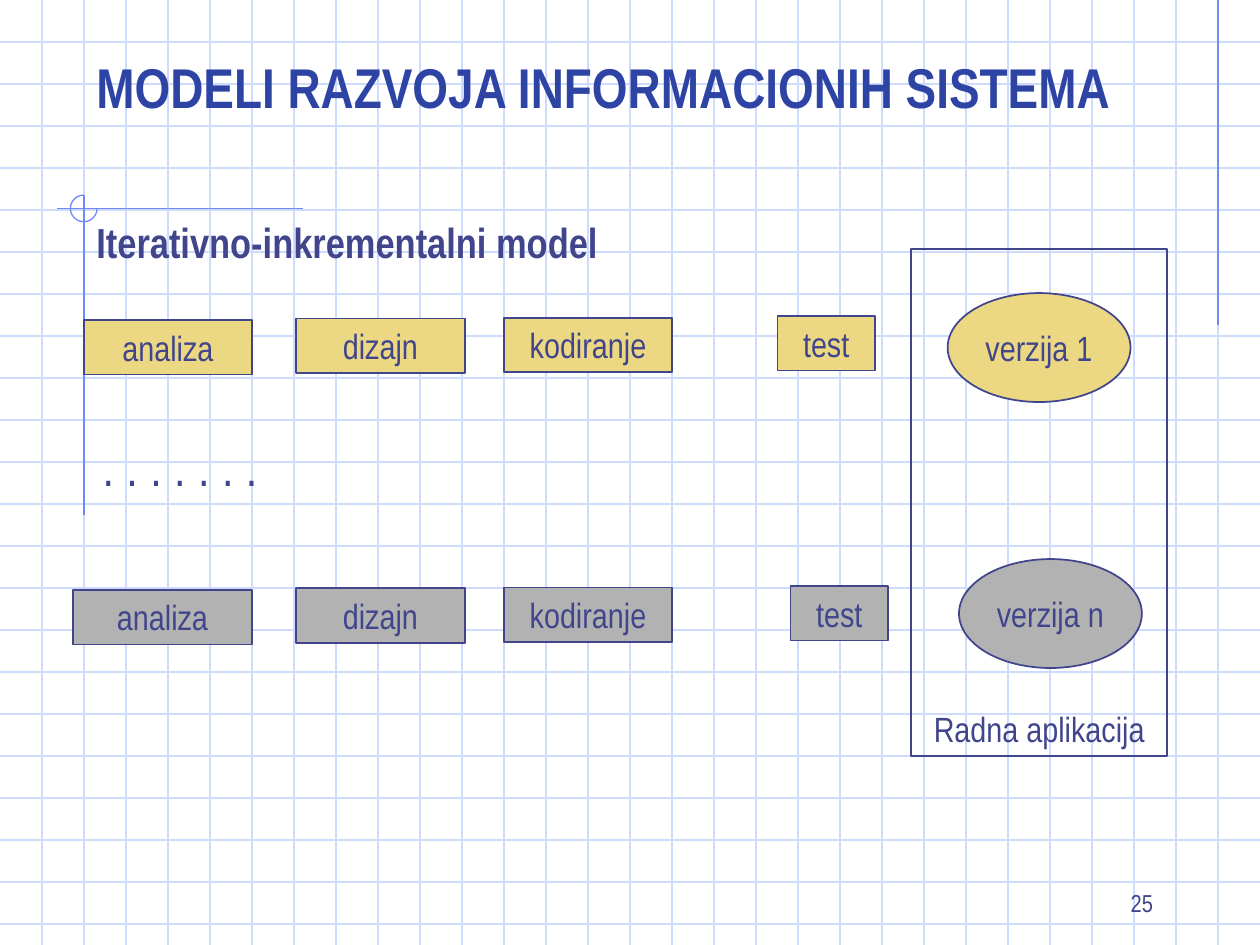
import pptx
import pptx.util
import pptx.dml.color
import pptx.enum.shapes
import pptx.enum.text
import pptx.oxml

Pt = pptx.util.Pt
SHAPE = pptx.enum.shapes.MSO_SHAPE
ALIGN = pptx.enum.text.PP_ALIGN
ANCHOR = pptx.enum.text.MSO_ANCHOR

COLORS = {
    "grid": "CFDBFD",
    "accent": "6F89F7",
    "title": "2D44A4",
    "ink": "40458C",
    "first": "ECD882",
    "last": "B2B2B2",
}
FONT = "Arial Narrow"
WIDTH, HEIGHT, GRID = 720, 540, 24


def rgb(name):
    return pptx.dml.color.RGBColor.from_string(COLORS[name])


def add_line(s, x1, y1, x2, y2, color):
    kind = pptx.enum.shapes.MSO_CONNECTOR.STRAIGHT
    cx = s.shapes.add_connector(kind, Pt(x1), Pt(y1), Pt(x2), Pt(y2))
    cx.line.color.rgb = rgb(color)
    cx.line.width = Pt(0.75)
    sp_pr = cx._element.spPr
    sp_pr.append(sp_pr.makeelement(pptx.oxml.ns.qn("a:effectLst"), {}))


def add_shape(s, kind, x, y, w, h, fill=None, line="ink", weight=1):
    sp = s.shapes.add_shape(kind, Pt(x), Pt(y), Pt(w), Pt(h))
    sp.shadow.inherit = False
    if fill:
        sp.fill.solid()
        sp.fill.fore_color.rgb = rgb(fill)
    else:
        sp.fill.background()
    sp.line.color.rgb = rgb(line)
    sp.line.width = Pt(weight)
    return sp


def set_text(sp, text, size=20, bold=False, color="ink", align=ALIGN.CENTER,
             anchor=ANCHOR.TOP, wrap=True, spacing=0):
    tf = sp.text_frame
    tf.word_wrap = wrap
    tf.vertical_anchor = anchor
    p = tf.paragraphs[0]
    p.alignment = align
    r = p.add_run()
    r.text = text
    r.font.name = FONT
    r.font.size = Pt(size)
    r.font.bold = bold
    r.font.color.rgb = rgb(color)
    if spacing:
        r.font._element.set("spc", str(round(spacing * 100)))


def add_text(s, text, x, y, w, h, **fmt):
    set_text(s.shapes.add_textbox(Pt(x), Pt(y), Pt(w), Pt(h)), text, **fmt)


def add_background(s):
    # Squared paper
    for y in range(GRID, HEIGHT, GRID):
        add_line(s, 0, y, WIDTH, y, "grid")
    for x in range(GRID, WIDTH, GRID):
        add_line(s, x, 0, x, HEIGHT, "grid")
    # Accent lines and the three-quarter circle at their crossing
    add_line(s, 696, 0, 696, 186, "accent")
    add_line(s, 173, 119.25, 32.5, 119.25, "accent")
    add_line(s, 48, 111.5, 48, 294.5, "accent")
    arc = add_shape(s, SHAPE.ARC, 40.25, 111.5, 15.25, 15.25,
                    line="accent", weight=0.75)
    arc.adjustments[0] = 0
    arc.adjustments[1] = 270 * 60000 / 100000  # 60000ths of a degree


def add_iteration(s, y, fill, analysis, test_x, version, version_at):
    x, w = analysis
    phases = [
        ("analiza", x, 2.25, w),
        ("dizajn", 169, 1.4, 96.75),
        ("kodiranje", 288, 1, 96),
        ("test", test_x, 0, 55.75),
    ]
    for name, left, drop, width in phases:
        sp = add_shape(s, SHAPE.RECTANGLE, left, y + drop, width, 31.25, fill)
        set_text(sp, name)
    sp = add_shape(s, SHAPE.OVAL, *version_at, 104.5, 62.25, fill)
    set_text(sp, version, anchor=ANCHOR.MIDDLE, wrap=False)


def main():
    prs = pptx.Presentation()
    prs.slide_width, prs.slide_height = Pt(WIDTH), Pt(HEIGHT)
    s = prs.slides.add_slide(prs.slide_layouts[6])
    add_background(s)

    # Headings and slide number
    add_text(s, "MODELI RAZVOJA INFORMACIONIH SISTEMA", 48, 24, 612, 48, size=32,
             bold=True, color="title", align=ALIGN.LEFT, anchor=ANCHOR.BOTTOM)
    add_text(s, "25", 516, 492, 150, 36, size=14, align=ALIGN.RIGHT,
             anchor=ANCHOR.BOTTOM)
    add_text(s, "Iterativno-inkrementalni model", 48, 120, 648, 266.5, size=24,
             bold=True, align=ALIGN.LEFT)

    # First and last iteration
    add_iteration(s, 180.6, "first", (48, 96), 444.25, "verzija 1", (541.5, 167.5))
    add_iteration(s, 334.8, "last", (41.75, 102.25), 451.75, "verzija n", (548, 319.5))

    # Working application
    add_shape(s, SHAPE.RECTANGLE, 520.75, 142.25, 146.25, 289.75)
    add_text(s, "Radna aplikacija", 520.75, 400.5, 146.25, 31.5)

    # Iterations in between
    add_text(s, ". . . . . . .", 52.5, 254.25, 101.5, 31, bold=True,
             align=ALIGN.LEFT, wrap=False, spacing=2.28)

    prs.save("out.pptx")


if __name__ == "__main__":
    main()
